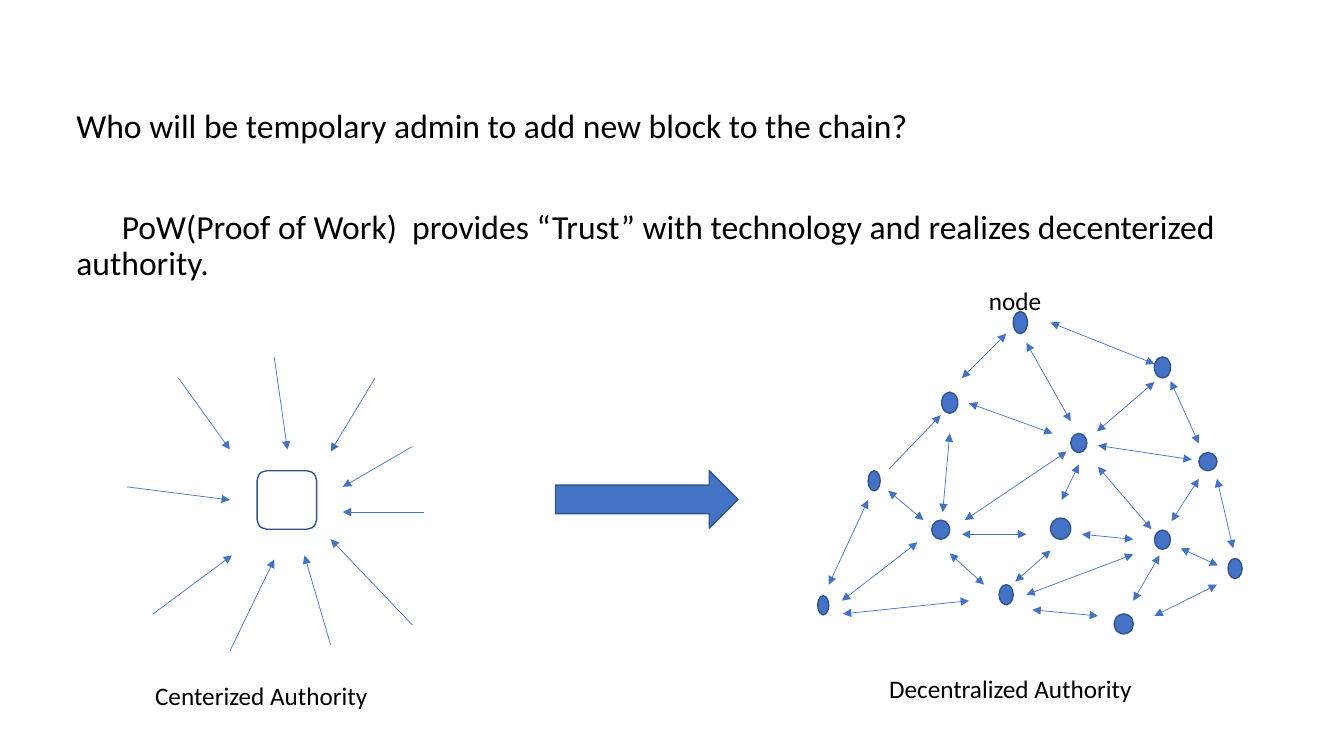
from typing import NamedTuple

from lxml import etree
from pptx import Presentation
from pptx.dml.color import RGBColor
from pptx.enum import shapes, text
from pptx.oxml import ns
from pptx.util import Inches, Pt

BLUE = RGBColor(0x44, 0x72, 0xC4)
DARK_BLUE = RGBColor(0x32, 0x54, 0x91)
BLACK = RGBColor(0x00, 0x00, 0x00)
FONT = "Calibri"


class Box(NamedTuple):
    left: float
    top: float
    width: float
    height: float


class Link(NamedTuple):
    x1: float
    y1: float
    x2: float
    y2: float
    two_way: bool = True


class Caption(NamedTuple):
    words: str
    box: Box


AUTHORITY = Box(2.55, 4.67, 0.59, 0.58)
TRANSITION = Box(5.51, 4.67, 1.81, 0.57)
BODY = Box(0.66, 1.04, 11.5, 3.92)

REQUESTS = [
    Link(1.77, 3.75, 2.28, 4.46, False),
    Link(2.72, 3.54, 2.85, 4.46, False),
    Link(3.72, 3.75, 3.28, 4.48, False),
    Link(4.09, 4.43, 3.4, 4.83, False),
    Link(4.21, 5.08, 3.4, 5.08, False),
    Link(1.26, 4.83, 2.28, 4.96, False),
    Link(1.52, 6.09, 2.3, 5.51, False),
    Link(2.28, 6.46, 2.72, 5.55, False),
    Link(3.28, 6.4, 3.02, 5.51, False),
    Link(4.09, 6.2, 3.28, 5.35, False),
]

NODES = [
    Box(10.62, 4.3, 0.16, 0.19),
    Box(9.34, 3.89, 0.16, 0.21),
    Box(9.24, 5.16, 0.18, 0.19),
    Box(10.42, 5.14, 0.2, 0.21),
    Box(11.45, 5.26, 0.16, 0.19),
    Box(10.05, 3.09, 0.14, 0.22),
    Box(11.45, 3.54, 0.16, 0.21),
    Box(11.89, 4.49, 0.18, 0.18),
    Box(12.18, 5.54, 0.14, 0.2),
    Box(9.91, 5.8, 0.14, 0.2),
    Box(8.61, 4.67, 0.12, 0.2),
    Box(11.05, 6.09, 0.19, 0.2),
    Box(8.11, 5.91, 0.11, 0.19),
]

PEER_LINKS = [
    Link(10.42, 3.2, 11.45, 3.61),
    Link(8.82, 4.65, 9.33, 4.12, False),
    Link(9.42, 4.3, 9.35, 5.08),
    Link(9.57, 5.16, 10.58, 4.48),
    Link(9.61, 4, 10.44, 4.3),
    Link(9.54, 3.75, 9.98, 3.31),
    Link(10.18, 3.4, 10.62, 4.18),
    Link(10.88, 4.28, 11.45, 3.79),
    Link(11.61, 3.78, 11.89, 4.4),
    Link(10.89, 4.42, 11.82, 4.56),
    Link(10.7, 4.61, 10.53, 4.96),
    Link(9.54, 5.3, 10.18, 5.3),
    Link(8.61, 4.96, 8.22, 5.8),
    Link(8.81, 4.87, 9.16, 5.16),
    Link(8.35, 5.96, 9.1, 5.38),
    Link(8.36, 6.09, 9.61, 5.96),
    Link(10.42, 5.46, 10.07, 5.77),
    Link(9.42, 5.49, 9.76, 5.8),
    Link(10.18, 5.9, 11.24, 5.5),
    Link(10.73, 5.3, 11.24, 5.35),
    Link(11.89, 4.75, 11.62, 5.17),
    Link(10.89, 4.63, 11.42, 5.25),
    Link(11.5, 5.51, 11.24, 5.96),
    Link(10.24, 6.05, 10.89, 6.11),
    Link(12.07, 4.75, 12.23, 5.44),
    Link(11.45, 6.11, 12.07, 5.8),
    Link(11.71, 5.44, 12.08, 5.61),
]

CAPTIONS = [
    Caption("Centerized Authority", Box(1.44, 6.7, 3.16, 0.4)),
    Caption("Decentralized Authority", Box(8.72, 6.63, 3.16, 0.4)),
    Caption("node", Box(9.71, 2.78, 0.94, 0.4)),
]


def add_outlined(container, kind, box: Box, fill: RGBColor | None = BLUE) -> None:
    """Draw a preset shape with a dark blue outline; fill None leaves it hollow."""
    sp = container.add_shape(kind, *map(Inches, box))
    sp.shadow.inherit = False
    if fill is None:
        sp.fill.background()
    else:
        sp.fill.solid()
        sp.fill.fore_color.rgb = fill
    sp.line.color.rgb = DARK_BLUE
    sp.line.width = Pt(1)


def add_arrow(container, link: Link) -> None:
    ends = map(Inches, (link.x1, link.y1, link.x2, link.y2))
    cxn = container.add_connector(shapes.MSO_CONNECTOR.STRAIGHT, *ends)
    cxn.line.color.rgb = BLUE
    cxn.line.width = Pt(0.5)
    ln = cxn.line._get_or_add_ln()
    for tag in ("a:headEnd", "a:tailEnd") if link.two_way else ("a:tailEnd",):
        etree.SubElement(ln, ns.qn(tag), type="triangle")
    etree.SubElement(cxn._element.spPr, ns.qn("a:effectLst"))


def add_text_box(container, box: Box, grow: bool = False):
    tf = container.add_textbox(*map(Inches, box)).text_frame
    tf.word_wrap = True
    tf.auto_size = (text.MSO_AUTO_SIZE.SHAPE_TO_FIT_TEXT if grow
                    else text.MSO_AUTO_SIZE.NONE)
    return tf


def write(p, words: str, *, size: float, before: float = 0,
          spacing: float = 1.0, indent: float = 0) -> None:
    p.space_before = Pt(before)
    p.line_spacing = spacing
    if indent:
        p._p.get_or_add_pPr().set("indent", str(Inches(indent)))
    r = p.add_run()
    r.text = words
    r.font.size = Pt(size)
    r.font.name = FONT
    r.font.color.rgb = BLACK


def main() -> None:
    prs = Presentation()
    prs.slide_width, prs.slide_height = Inches(13.33), Inches(7.5)
    s = prs.slides.add_slide(prs.slide_layouts[6])

    add_outlined(s.shapes, shapes.MSO_SHAPE.ROUNDED_RECTANGLE, AUTHORITY, None)
    for request in REQUESTS:
        add_arrow(s.shapes, request)
    add_outlined(s.shapes, shapes.MSO_SHAPE.RIGHT_ARROW, TRANSITION)

    tf = add_text_box(s.shapes, BODY)
    write(tf.paragraphs[0],
          "Who will be tempolary admin to add new block to the chain?",
          size=24, before=10, spacing=0.9)
    write(tf.add_paragraph(),
          "PoW(Proof of Work)  provides “Trust” with technology "
          "and realizes decenterized authority.",
          size=24, before=46, spacing=0.9, indent=0.45)

    network = s.shapes.add_group_shape().shapes
    for node in NODES:
        add_outlined(network, shapes.MSO_SHAPE.OVAL, node)
    for link in PEER_LINKS:
        add_arrow(network, link)

    for caption in CAPTIONS:
        tf = add_text_box(s.shapes, caption.box, grow=True)
        write(tf.paragraphs[0], caption.words, size=18)

    prs.save("out.pptx")


if __name__ == "__main__":
    main()
